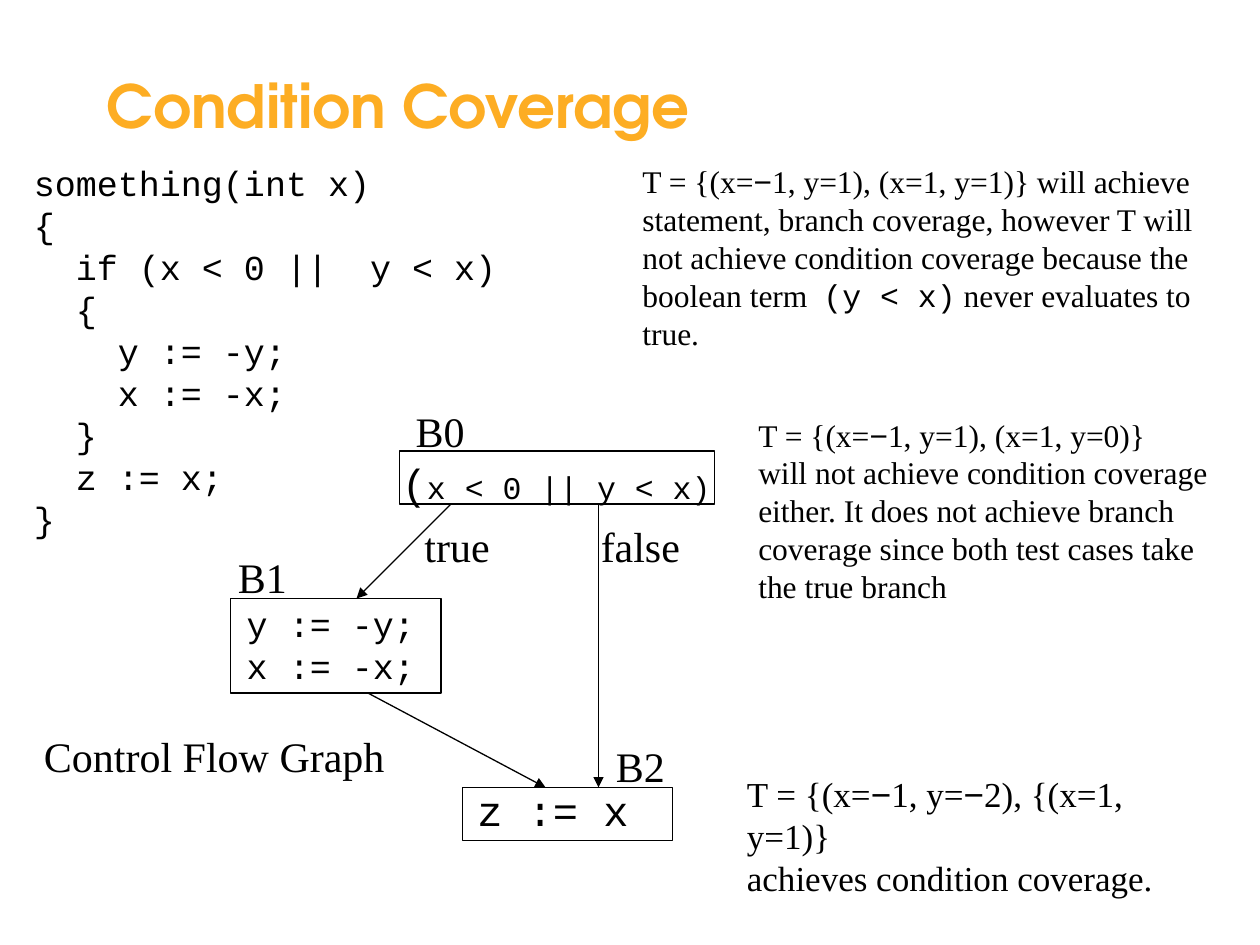
from pptx import Presentation
from pptx.dml.color import RGBColor
from pptx.enum.shapes import MSO_CONNECTOR as Connector, MSO_SHAPE as Shape
from pptx.enum.text import MSO_ANCHOR as Anchor, MSO_AUTO_SIZE as AutoSize
from pptx.oxml.ns import qn
from pptx.util import Inches, Pt
from lxml.etree import SubElement

SERIF, MONO, SANS = "Times New Roman", "Courier New", "Arial"
TITLE_FONT = "TeX Gyre Adventor"
BLACK, ORANGE = "000000", "FDAD23"
LINE_WIDTH = 0.75
LEADING = 1.2

CODE = """something(int x)
{
  if (x < 0 ||  y < x)
  {
    y := -y;
    x := -x;
  }
  z := x;
}"""


def color(hex_text):
    return RGBColor.from_string(hex_text)


def add_span(para, text, size, font, fill, bold):
    span = para.add_run()
    span.text = text
    span.font.size = Pt(size)
    span.font.name = font
    span.font.bold = bold
    span.font.color.rgb = color(fill)


def add_text(page, place, lines, size=24, font=SERIF, fill=BLACK, bold=False,
             wrap=False, anchor=Anchor.TOP, fit=AutoSize.SHAPE_TO_FIT_TEXT):
    """Each line is a string or a list of strings and (text, format) pairs."""
    box = page.shapes.add_textbox(*map(Inches, place))
    frame = box.text_frame
    frame.word_wrap = wrap
    frame.auto_size = fit
    frame.vertical_anchor = anchor
    for index, line in enumerate(lines):
        para = frame.paragraphs[0] if index == 0 else frame.add_paragraph()
        para.line_spacing = Pt(size * LEADING)
        for part in [line] if isinstance(line, str) else line:
            text, changes = (part, {}) if isinstance(part, str) else part
            look = dict(size=size, font=font, fill=fill, bold=bold) | changes
            add_span(para, text, **look)


def add_block(page, left, top, width, height):
    block = page.shapes.add_shape(
        Shape.RECTANGLE, *map(Inches, (left, top, width, height)))
    block.shadow.inherit = False
    block.fill.background()
    block.line.color.rgb = color(BLACK)
    block.line.width = Pt(LINE_WIDTH)


def add_arrow(page, start, end):
    arrow = page.shapes.add_connector(
        Connector.STRAIGHT, *map(Inches, start + end))
    arrow.line.color.rgb = color(BLACK)
    arrow.line.width = Pt(LINE_WIDTH)
    SubElement(arrow.line._get_or_add_ln(), qn("a:tailEnd"), type="triangle")
    SubElement(arrow._element.spPr, qn("a:effectLst"))


def add_flow_graph(page):
    # Blocks and their code
    for place in [(3.17, 3.58, 2.5, 0.42), (3.67, 6.25, 1.67, 0.42),
                  (1.83, 4.75, 1.67, 0.75)]:
        add_block(page, *place)
    condition = [("(", {"size": 24}), ("x < 0 || y < x)", {"size": 18})]
    add_text(page, (3.09, 3.58, 2.65, 0.5), [condition], font=MONO)
    add_text(page, (1.86, 4.73, 1.55, 0.77), ["y := -y;", "x := -x;"],
             size=20, font=MONO)
    add_text(page, (3.69, 6.18, 1.4, 0.5), ["z := x"], font=MONO)

    # Edges
    for start, end in [((3.58, 4), (2.83, 4.75)), ((2.92, 5.5), (4.33, 6.25)),
                       ((4.75, 4), (4.75, 6.25))]:
        add_arrow(page, start, end)

    # Labels
    for text, left, top, width in [
            ("B0", 3.2, 3.17, 0.59), ("B1", 1.79, 4.33, 0.59),
            ("B2", 4.79, 5.83, 0.59), ("true", 3.27, 4.08, 0.72),
            ("false", 4.67, 4.08, 0.83),
            ("Control Flow Graph", 0.25, 5.75, 2.92)]:
        add_text(page, (left, top, width, 0.5), [text])


def add_test_sets(page):
    minus = ("−", {"font": SANS})
    add_text(page, (5, 1.24, 4.83, 1.6), [
        ["T = {(x=", minus, "1, y=1), (x=1, y=1)} will achieve"],
        ["statement, branch coverage, however T will not achieve condition "
         "coverage because the boolean term  ", ("(y < x)", {"font": MONO}),
         " never evaluates to true."],
    ], size=18, wrap=True)
    add_text(page, (5.92, 3.25, 3.83, 1.6), [
        ["T = {(x=", minus, "1, y=1), (x=1, y=0)}"],
        "will not achieve condition coverage either. It does not achieve "
        "branch coverage since both test cases take the true branch",
    ], size=18, wrap=True)
    add_text(page, (5.83, 6.08, 3.83, 0.77), [
        ["T = {(x=", minus, "1, y=", minus, "2), {(x=1, y=1)}"],
        "achieves condition coverage.",
    ], size=20, wrap=True)


def main():
    deck = Presentation()
    deck.slide_width, deck.slide_height = Inches(10), Inches(7.5)
    page = deck.slides.add_slide(deck.slide_layouts[6])

    # Title and code
    add_text(page, (0.75, 0.42, 8.5, 0.83), ["Condition Coverage"], size=34,
             font=TITLE_FONT, fill=ORANGE, bold=True, wrap=True,
             anchor=Anchor.MIDDLE, fit=AutoSize.NONE)
    add_text(page, (0.17, 1.23, 5, 3.1), CODE.splitlines(), size=20,
             font=MONO, wrap=True)

    add_test_sets(page)
    add_flow_graph(page)

    deck.save("out.pptx")


if __name__ == "__main__":
    main()
